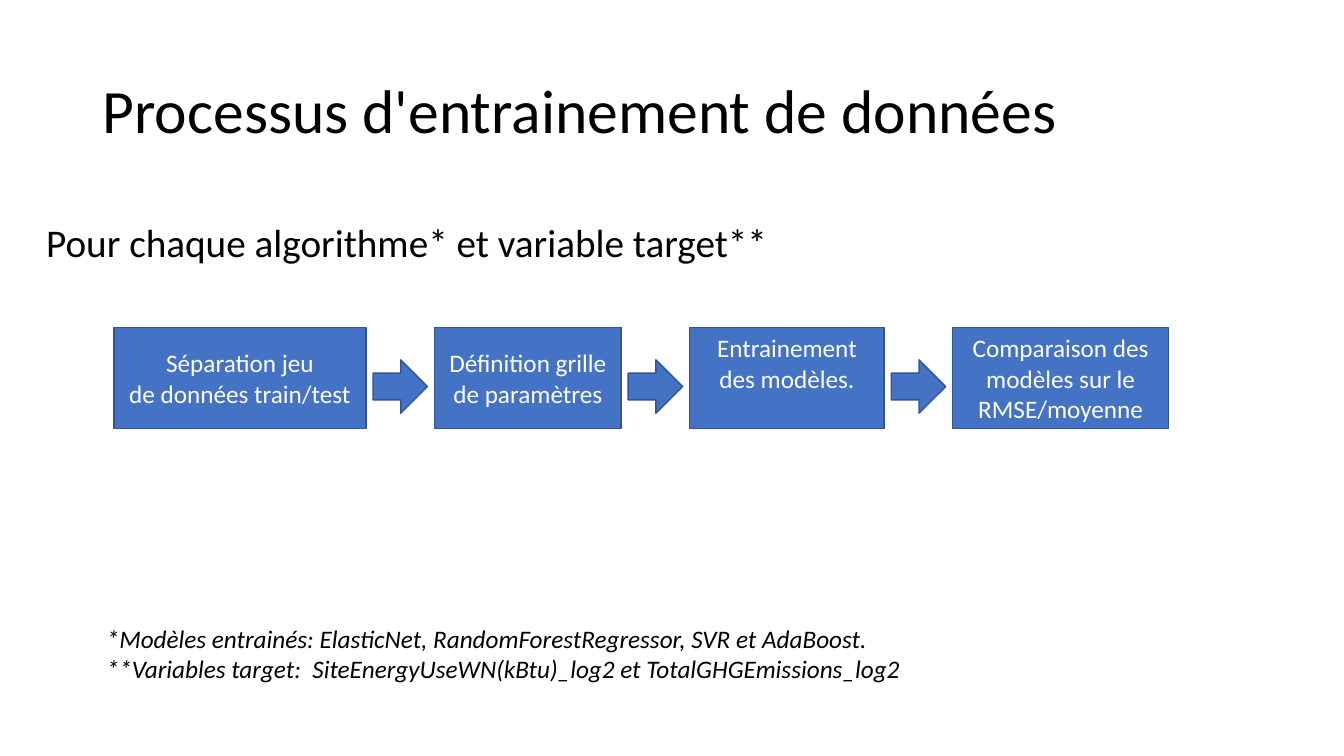
from pptx import Presentation
from pptx.dml.color import RGBColor
from pptx.enum.shapes import MSO_SHAPE
from pptx.enum.text import MSO_ANCHOR, PP_ALIGN
from pptx.util import Inches, Pt

RECT, ARROW = MSO_SHAPE.RECTANGLE, MSO_SHAPE.RIGHT_ARROW
TOP, MIDDLE = MSO_ANCHOR.TOP, MSO_ANCHOR.MIDDLE
LEFT, CENTER = PP_ALIGN.LEFT, PP_ALIGN.CENTER

FONT = "Calibri"
COLORS = {"text": "000000", "fill": "4472C4", "edge": "325491", "label": "FFFFFF"}

TITLE = ["Processus d'entrainement de données"]
INTRO = ["Pour chaque algorithme* et variable target**"]
# Step lines, box width, bottom inset
STEPS = [
    (["Séparation jeu", "de données train/test"], 2.5, 0.05),
    (["Définition grille de paramètres"], 1.85, 0.05),
    (["Entrainement des modèles."], 1.93, 0.35),
    (["Comparaison des modèles sur le RMSE/moyenne"], 2.14, 0.05),
]
NOTES = [
    "*Modèles entrainés: ElasticNet, RandomForestRegressor, SVR et AdaBoost.",
    "**Variables target:  SiteEnergyUseWN(kBtu)_log2 et TotalGHGEmissions_log2",
]

WIDTH, HEIGHT = 13.33, 7.5
FLOW_X, FLOW_Y, BOX_H, GAP = 1.13, 3.25, 1, 0.68
ARROW_W, ARROW_H = 0.54, 0.53
ARROW_Y = FLOW_Y + 0.32

deck = Presentation()
deck.slide_width, deck.slide_height = Inches(WIDTH), Inches(HEIGHT)
slide = deck.slides.add_slide(deck.slide_layouts[6])


def color(name):
    return RGBColor.from_string(COLORS[name])


def write(frame, lines, size, ink="text", align=LEFT, anchor=TOP,
          italic=False, spacing=1.0, before=0):
    frame.word_wrap = True
    frame.vertical_anchor = anchor
    for i, line in enumerate(lines):
        para = frame.add_paragraph() if i else frame.paragraphs[0]
        para.alignment = align
        para.line_spacing = spacing
        para.space_before = Pt(before)
        run = para.add_run()
        run.text = line
        font = run.font
        font.name, font.size, font.italic = FONT, Pt(size), italic
        font.color.rgb = color(ink)


def add_text(box, lines, size, **style):
    frame = slide.shapes.add_textbox(*map(Inches, box)).text_frame
    write(frame, lines, size, **style)


def add_block(kind, *box):
    shape = slide.shapes.add_shape(kind, *map(Inches, box))
    shape.shadow.inherit = False
    shape.fill.solid()
    shape.fill.fore_color.rgb = color("fill")
    shape.line.color.rgb = color("edge")
    shape.line.width = Pt(1)
    return shape


add_text((0.92, 0.4, 11.5, 1.45), TITLE, 44, anchor=MIDDLE, spacing=0.9)
add_text((0.36, 2.17, 9.04, 2.89), INTRO, 28, spacing=0.9, before=10)

x = FLOW_X
for i, (lines, width, inset) in enumerate(STEPS):
    if i:
        add_block(ARROW, x - (GAP + ARROW_W) / 2, ARROW_Y, ARROW_W, ARROW_H)
    frame = add_block(RECT, x, FLOW_Y, width, BOX_H).text_frame
    frame.margin_bottom = Inches(inset)
    write(frame, lines, 18, ink="label", align=CENTER, anchor=MIDDLE)
    x += width + GAP

add_text((0.96, 6.13, 11.45, 1.01), NOTES, 18, italic=True)

deck.save("out.pptx")
